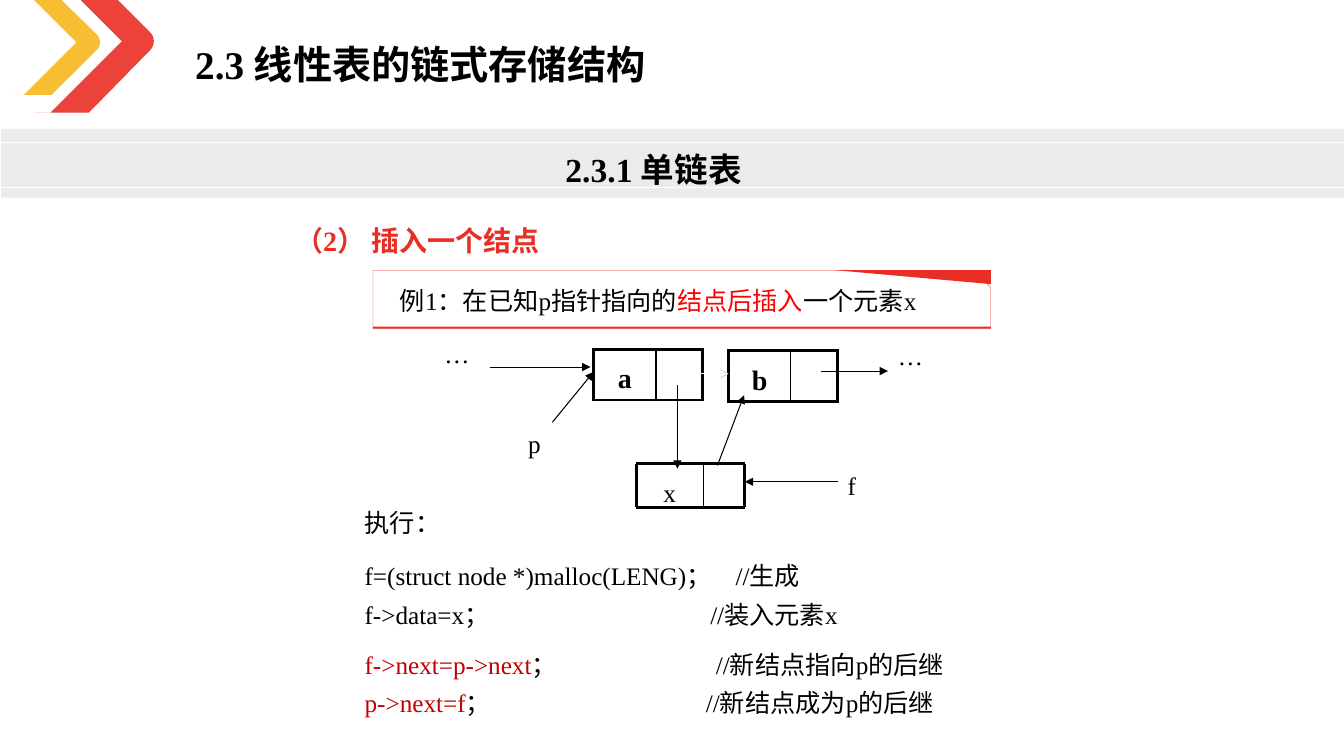
from lxml import etree
from pptx import Presentation
from pptx import util as u
from pptx.dml.color import RGBColor
from pptx.enum import shapes, text
from pptx.oxml import ns

Cm, Pt = u.Cm, u.Pt
COLORS = {"black": "000000", "white": "FFFFFF", "gray": "404040", "red": "E92E25",
          "yellow": "F7B61D", "code": "C00000", "accent": "FF0000"}
FONT = "Times New Roman"

deck = Presentation()
deck.slide_width, deck.slide_height = Cm(33.87), Cm(19.05)
page = deck.slides.add_slide(deck.slide_layouts[6])


def write(para, words, color="black", size=18, bold=False, spacing=1.3, align=None):
    """Append one formatted span to a paragraph."""
    para.line_spacing = spacing
    para.alignment = align
    span = para.add_run()
    span.text = words
    span.font.name, span.font.size, span.font.bold = FONT, Pt(size), bold
    span.font.color.rgb = RGBColor.from_string(COLORS[color])


def paint(shape, fill, line=None, alpha=100):
    """Set the fill, its opacity in percent, and an optional hairline."""
    shape.shadow.inherit = False
    shape.fill.solid()
    shape.fill.fore_color.rgb = RGBColor.from_string(COLORS[fill])
    if alpha < 100:
        tint = shape.fill._xPr.find(".//" + ns.qn("a:srgbClr"))
        etree.SubElement(tint, ns.qn("a:alpha")).set("val", str(alpha * 1000))
    if line:
        shape.line.color.rgb = RGBColor.from_string(COLORS[line])
        shape.line.width = Pt(0.25)
    else:
        shape.line.fill.background()


# Header band, example frame and its bottom rule
kinds = shapes.MSO_SHAPE
for kind, left, top, width, height, fill, line, alpha in [
    (kinds.RECTANGLE, 0.03, 3.25, 33.86, 1.73, "gray", None, 10),
    (kinds.SNIP_1_RECTANGLE, 9.4, 6.81, 15.57, 1.47, "white", "red", 100),
    (kinds.RECTANGLE, 9.4, 8.23, 15.57, 0.05, "red", None, 100),
]:
    shape = page.shapes.add_shape(kind, Cm(left), Cm(top), Cm(width), Cm(height))
    if kind == kinds.SNIP_1_RECTANGLE:
        shape.adjustments[0] = 0.294
    paint(shape, fill, line, alpha)

# Chevrons with a rounded tip (cubic curve), and the red corner of the frame
outlines = [
    ("red", 90, [(0.86, 2.84), (2.24, 2.84)],
     [(3.78, 1.27), (3.91, 1.14), (3.91, 0.94), (3.78, 0.81)],
     [(2.97, 0), (2.03, 0), (3.07, 1.04), (1.27, 2.84)]),
    ("yellow", 90, [(0.3, 2.39), (1.3, 2.39)],
     [(2.46, 1.24), (2.54, 1.14), (2.54, 0.99), (2.46, 0.89)],
     [(1.55, 0), (0.86, 0), (1.93, 1.07), (0.61, 2.39)]),
    ("red", 100, [(24.97, 6.81), (21.06, 6.81), (24.97, 7.16)], [], []),
]
for fill, alpha, before, curve, after in outlines:
    tip = []
    if curve:
        for step in range(9):
            t = step / 8
            weights = [(1 - t) ** 3, 3 * t * (1 - t) ** 2, 3 * t * t * (1 - t), t ** 3]
            tip.append(tuple(sum(w * point[axis] for w, point in zip(weights, curve))
                             for axis in (0, 1)))
    points = [(Cm(x), Cm(y)) for x, y in before + tip + after]
    builder = page.shapes.build_freeform(*points[0])
    builder.add_line_segments(points[1:], close=True)
    paint(builder.convert_to_shape(), fill, alpha=alpha)

# Nodes a and b: a data cell and a pointer cell
for label, left, top in [("a", 14.96, 8.81), ("b", 18.36, 8.84)]:
    table = page.shapes.add_table(1, 2, Cm(left), Cm(top), Cm(2.74), Cm(1.2)).table
    table.first_row = table.horz_banding = False
    table.rows[0].height = Cm(1.2)
    for column, width in enumerate((1.57, 1.17)):
        table.columns[column].width = Cm(width)
        cell = table.cell(0, column)
        cell.margin_left = cell.margin_right = Cm(0.25)
        cell.fill.background()
        inner_side = "R" if column == 0 else "L"
        for index, side in enumerate("LRTB"):
            border = etree.Element(ns.qn("a:ln" + side))
            border.set("w", str(Pt(1 if side == inner_side else 2.25)))
            solid = etree.SubElement(border, ns.qn("a:solidFill"))
            etree.SubElement(solid, ns.qn("a:srgbClr")).set("val", COLORS["black"])
            cell._tc.get_or_add_tcPr().insert(index, border)
    write(table.cell(0, 0).text_frame.paragraphs[0], label, size=20, bold=True,
          align=text.PP_ALIGN.CENTER)

# Text boxes: place, then paragraphs as (spans, tab stop of the comment)
heading = dict(bold=True)
center = dict(align=text.PP_ALIGN.CENTER)
single = dict(spacing=1)
code = dict(color="code")
text_boxes = [
    (4.67, 0.53, 17.12, 1.65, [([("2.3 线性表的链式存储结构", dict(heading, size=28))], None)]),
    (1.42, 3.33, 30.1, 1.45, [([("2.3.1 单链表", dict(heading, size=24, **center))], None)]),
    (7.19, 5.26, 21.79, 1.27,
     [([("（2） 插入一个结点", dict(heading, size=20, color="red"))], None)]),
    (9.83, 7.06, 16.97, 1.02,
     [([("例1：在已知p指针指向的", single), ("结点后插入", dict(single, color="accent")),
        ("一个元素x", single)], None)]),
    (10.95, 8.18, 1.7, 1.17, [([("…", {})], None)]),
    (22.38, 8.23, 1.7, 1.17, [([("…", {})], None)]),
    (13.06, 10.44, 1.27, 1.17, [([("p", {})], None)]),
    (16.03, 11.68, 1.7, 1.1, [([("x", center)], None)]),
    (8.94, 12.67, 16.99, 1.02, [([("执行：", single)], None)]),
    (8.94, 13.77, 23.06, 2.16,
     [([("f=(struct node *)malloc(LENG)；\t//生成", {})], 9.35),
      ([("f->data=x；\t//装入元素x", {})], 8.71)]),
    (8.94, 16, 18.36, 1.17,
     [([("f->next=p->next", code), ("；\t//新结点指向p的后继", {})], 8.85)]),
    (8.94, 16.97, 23.5, 1.17,
     [([("p->next=f", code), ("；\t//新结点成为p的后继", {})], 8.6)]),
    (21.11, 11.51, 1.27, 1.26, [([("f", {})], None)]),
]
for left, top, width, height, paragraphs in text_boxes:
    box = page.shapes.add_textbox(Cm(left), Cm(top), Cm(width), Cm(height))
    box.text_frame.word_wrap = True
    for index, (spans, tab) in enumerate(paragraphs):
        para = box.text_frame.add_paragraph() if index else box.text_frame.paragraphs[0]
        for words, style in spans:
            write(para, words, **style)
        if tab:
            stops = etree.SubElement(para._p.get_or_add_pPr(), ns.qn("a:tabLst"))
            stop = etree.SubElement(stops, ns.qn("a:tab"))
            stop.set("pos", str(Cm(tab)))
            stop.set("algn", "l")
f_box = box

# Lines: start, end, colour, width in points, arrowhead
band_lines = [(0.03, y, 33.89, y, "white", 0.5, False) for y in (3.58, 4.72)]
x_node = [(16.03, y, 18.77, y, "black", 2.25, False) for y in (11.68, 12.78)]
x_node += [(x, 11.68, x, 12.78, "black", width, False)
           for x, width in ((16.03, 2.25), (17.73, 1), (18.77, 2.25))]
arrows = [(*ends, color, 0.75, True) for *ends, color in [
    (12.34, 9.25, 14.88, 9.25, "black"),
    (17.09, 9.42, 18.36, 9.42, "black"),
    (20.68, 9.35, 22.38, 9.35, "black"),
    (13.92, 10.64, 14.96, 9.37, "black"),
    (18.08, 11.73, 18.75, 9.96, "black"),
    (17.07, 9.7, 17.07, 11.81, "black"),
    (17.09, 9.42, 18.36, 9.42, "white"),
    (21.11, 12.14, 18.77, 12.14, "black"),
]]
for x1, y1, x2, y2, color, width, has_head in band_lines + x_node + arrows:
    connector = page.shapes.add_connector(shapes.MSO_CONNECTOR.STRAIGHT,
                                          Cm(x1), Cm(y1), Cm(x2), Cm(y2))
    connector.line.color.rgb = RGBColor.from_string(COLORS[color])
    connector.line.width = Pt(width)
    if has_head:
        etree.SubElement(connector.line._get_or_add_ln(), ns.qn("a:tailEnd")).set("type", "triangle")
    etree.SubElement(connector._element.spPr, ns.qn("a:effectLst"))
# The last arrow leaves the label f
connector.begin_connect(f_box, 1)

deck.save("out.pptx")
